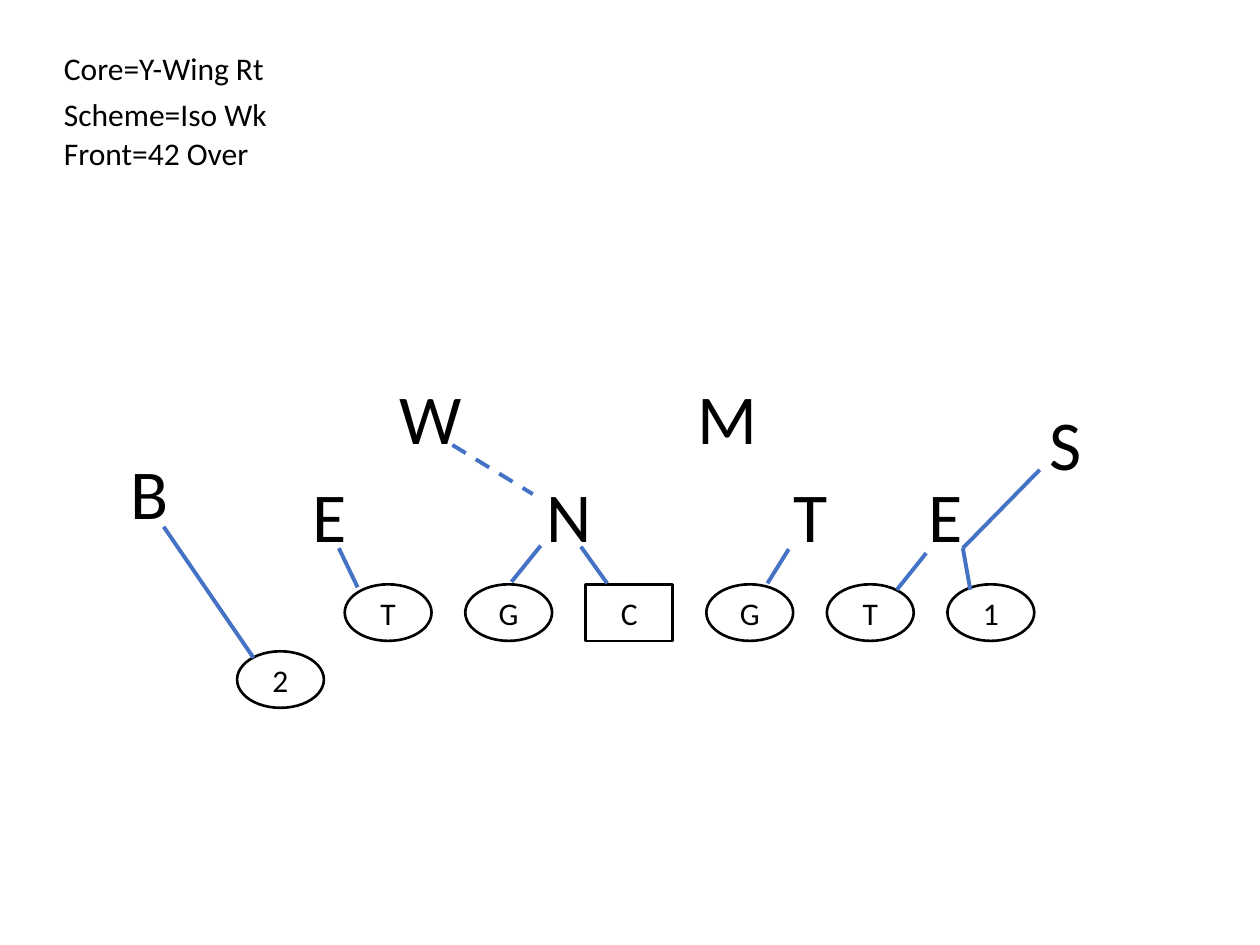
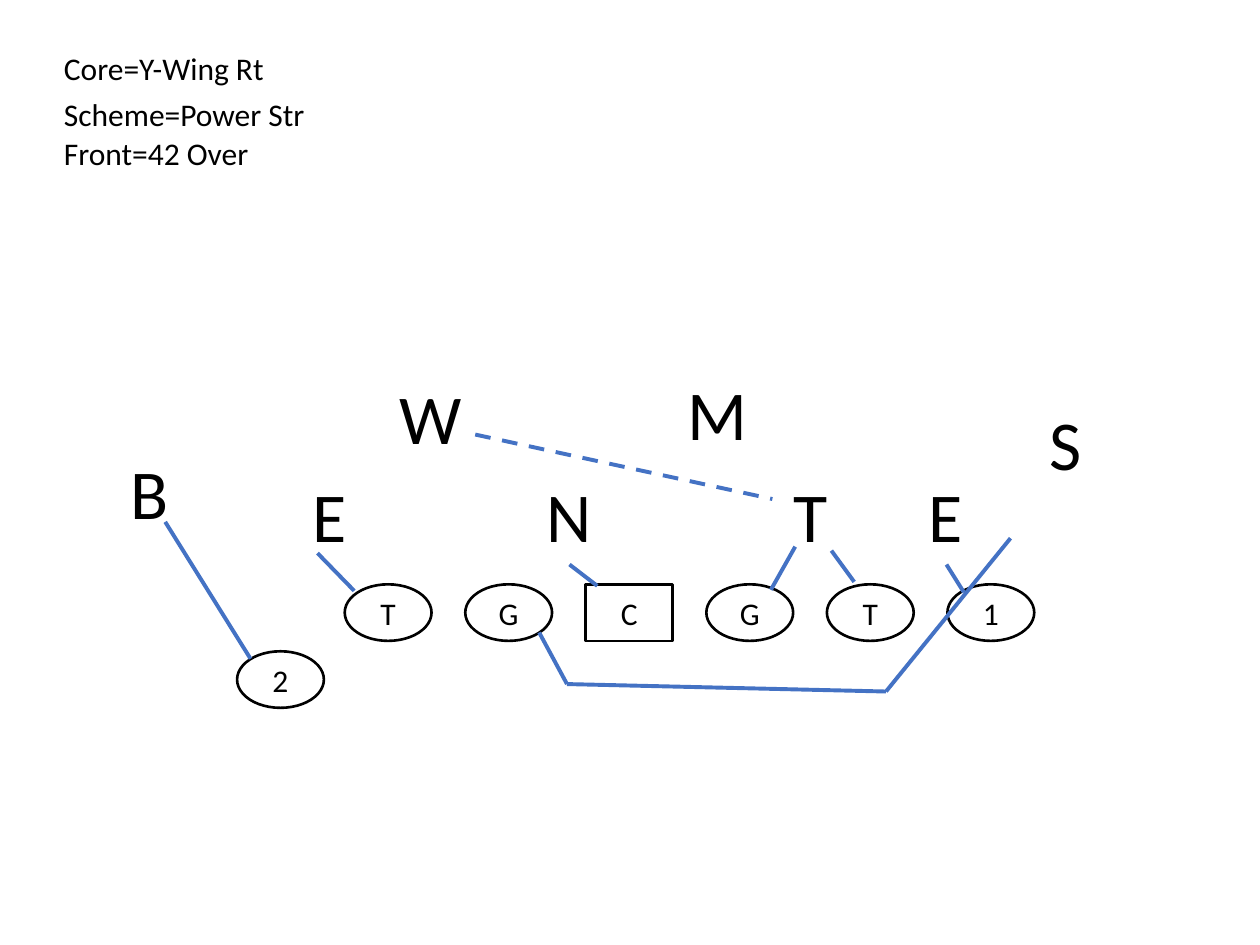
from itertools import pairwise

from lxml import etree
from pptx import Presentation
from pptx.dml.color import RGBColor
from pptx.enum.dml import MSO_LINE
from pptx.enum.shapes import MSO_CONNECTOR, MSO_SHAPE
from pptx.enum.text import MSO_ANCHOR, MSO_AUTO_SIZE, PP_ALIGN
from pptx.oxml.ns import qn
from pptx.util import Cm, Pt

BLACK = RGBColor(0x00, 0x00, 0x00)
WHITE = RGBColor(0xFF, 0xFF, 0xFF)
BLUE = RGBColor(0x44, 0x72, 0xC4)
FONT = "Calibri"
OVAL, RECT = MSO_SHAPE.OVAL, MSO_SHAPE.RECTANGLE
STRAIGHT, DASH = MSO_CONNECTOR.STRAIGHT, MSO_LINE.DASH
CENTER, MIDDLE = PP_ALIGN.CENTER, MSO_ANCHOR.MIDDLE
FIT_SHAPE = MSO_AUTO_SIZE.SHAPE_TO_FIT_TEXT
BLANK_LAYOUT = 6

# Call sheet: left edge, height and line tops (all lengths in cm)
CALL_LEFT, CALL_H = 1.04, 1.02
CALL_TOPS = (0.86, 1.8, 2.57)

# Offense: evenly spaced line with the wing 1, and the 2 back off the line
LINE = "TGCGT1"
LINE_LEFT, LINE_TOP, LINE_PITCH = 6.95, 11.78, 2.43
PLAYER_W, PLAYER_H = 1.75, 1.14
BACK = ("2", 4.78, 13.13)

# Defense: letter, left, top, width
FRONT_TOP, BACKER_TOP, LETTER_H = 9.4, 7.42, 1.96
DEFENSE = [
    ("E", 6.05, FRONT_TOP, 1.22),
    ("N", 10.77, FRONT_TOP, 1.42),
    ("T", 15.75, FRONT_TOP, 1.22),
    ("E", 18.47, FRONT_TOP, 1.22),
    ("W", 7.8, BACKER_TOP, 1.78),
    ("S", 20.9, 7.95, 1.22),
    ("B", 2.39, 8.94, 1.3),
]
MIKE_W = 1.78

# Each play: call lines with widths, place of M, block paths, dashed read
PLAYS = [
    {
        "call": [("Core=Y-Wing Rt", 4.62), ("Scheme=Iso Wk", 4.65),
                 ("Front=42 Over", 4.27)],
        "mike": (13.82, BACKER_TOP),
        "blocks": [
            [(3.3, 10.62), (5.11, 13.26)],
            [(6.83, 11.05), (7.21, 11.84)],
            [(10.9, 11.0), (10.31, 11.73)],
            [(11.71, 11.02), (12.24, 11.76)],
            [(15.9, 11.07), (15.47, 11.76)],
            [(18.67, 11.15), (18.08, 11.89)],
            [(19.56, 11.89), (19.41, 11.05), (20.96, 9.47)],
        ],
        "read": [(9.12, 8.97), (10.74, 9.96)],
    },
    {
        "call": [("Core=Y-Wing Rt", 4.62), ("Scheme=Power Str", 5.41),
                 ("Front=42 Over", 4.27)],
        "mike": (13.61, 7.34),
        "blocks": [
            [(3.33, 10.52), (5.05, 13.28)],
            [(6.4, 11.15), (7.14, 11.91)],
            [(11.48, 11.38), (12.04, 11.81)],
            [(19.08, 11.38), (19.43, 11.94)],
            [(16.03, 11.02), (15.54, 11.89)],
            [(16.76, 11.1), (17.22, 11.73)],
            [(10.87, 12.75), (11.43, 13.79), (17.86, 13.94), (20.37, 10.85)],
        ],
        "read": [(9.58, 8.76), (15.57, 10.06)],
    },
]


def set_text(tf, text, size):
    tf.text = text
    font = tf.paragraphs[0].runs[0].font
    font.name, font.size, font.color.rgb = FONT, Pt(size), BLACK


def add_label(s, text, left, top, width, height, size):
    tf = s.shapes.add_textbox(Cm(left), Cm(top), Cm(width), Cm(height)).text_frame
    tf.word_wrap = False
    tf.auto_size = FIT_SHAPE
    set_text(tf, text, size)


def add_player(s, text, left, top):
    kind = RECT if text == "C" else OVAL
    sp = s.shapes.add_shape(kind, Cm(left), Cm(top), Cm(PLAYER_W), Cm(PLAYER_H))
    sp.shadow.inherit = False
    sp.fill.solid()
    sp.fill.fore_color.rgb = WHITE
    sp.line.color.rgb = BLACK
    sp.line.width = Pt(1.5)
    tf = sp.text_frame
    set_text(tf, text, 18)
    tf.vertical_anchor = MIDDLE
    tf.paragraphs[0].alignment = CENTER


def add_route(s, points, dash=None):
    for start, end in pairwise(points):
        ends = [Cm(v) for v in (*start, *end)]
        line = s.shapes.add_connector(STRAIGHT, *ends)
        line.line.color.rgb = BLUE
        line.line.width = Pt(2.25)
        if dash:
            line.line.dash_style = dash
        etree.SubElement(line._element.spPr, qn("a:effectLst"))


def add_play(prs, play):
    s = prs.slides.add_slide(prs.slide_layouts[BLANK_LAYOUT])

    # Call sheet
    for (text, width), top in zip(play["call"], CALL_TOPS):
        add_label(s, text, CALL_LEFT, top, width, CALL_H, 18)

    # Offense
    for i, text in enumerate(LINE):
        add_player(s, text, LINE_LEFT + i * LINE_PITCH, LINE_TOP)
    add_player(s, *BACK)

    # Defense
    for text, left, top, width in [*DEFENSE, ("M", *play["mike"], MIKE_W)]:
        add_label(s, text, left, top, width, LETTER_H, 40)

    # Blocks and read
    for points in play["blocks"]:
        add_route(s, points)
    add_route(s, play["read"], DASH)


def main():
    prs = Presentation()
    prs.slide_width, prs.slide_height = Cm(25.4), Cm(19.05)
    for play in PLAYS:
        add_play(prs, play)
    prs.save("out.pptx")


if __name__ == "__main__":
    main()
